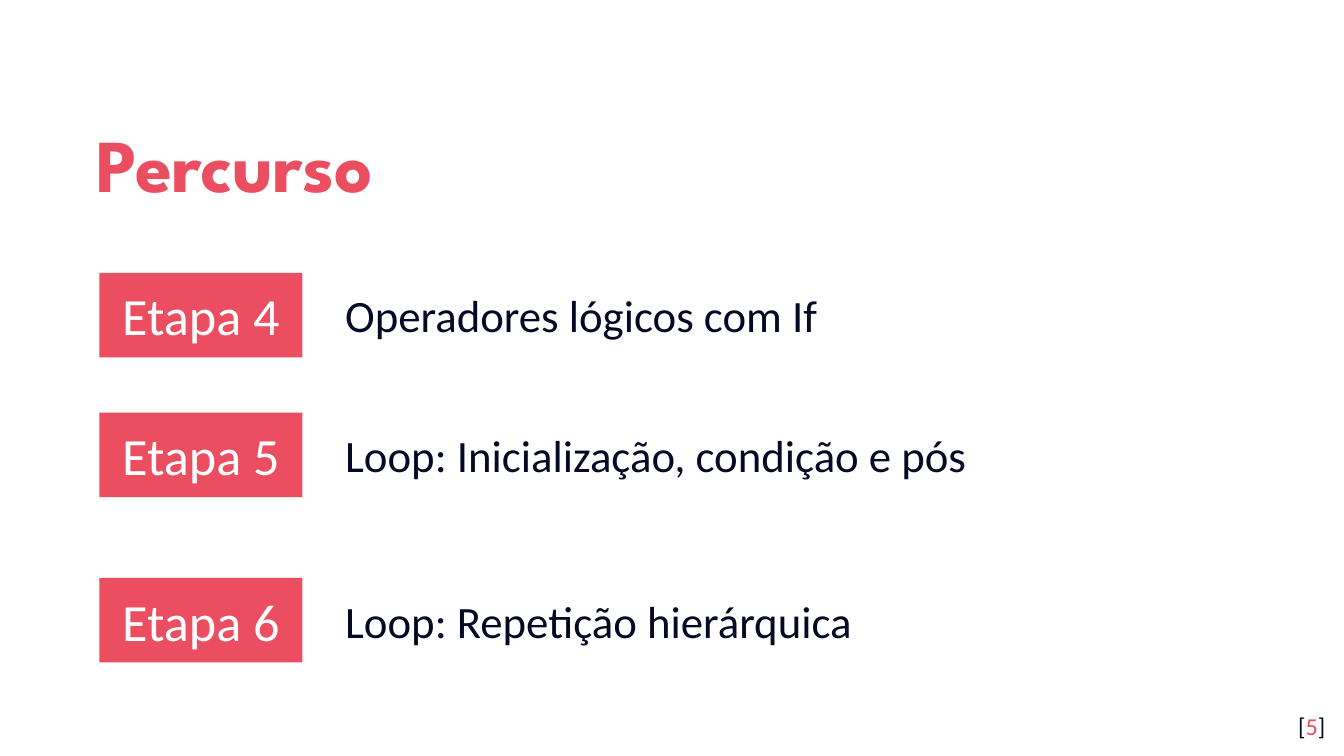
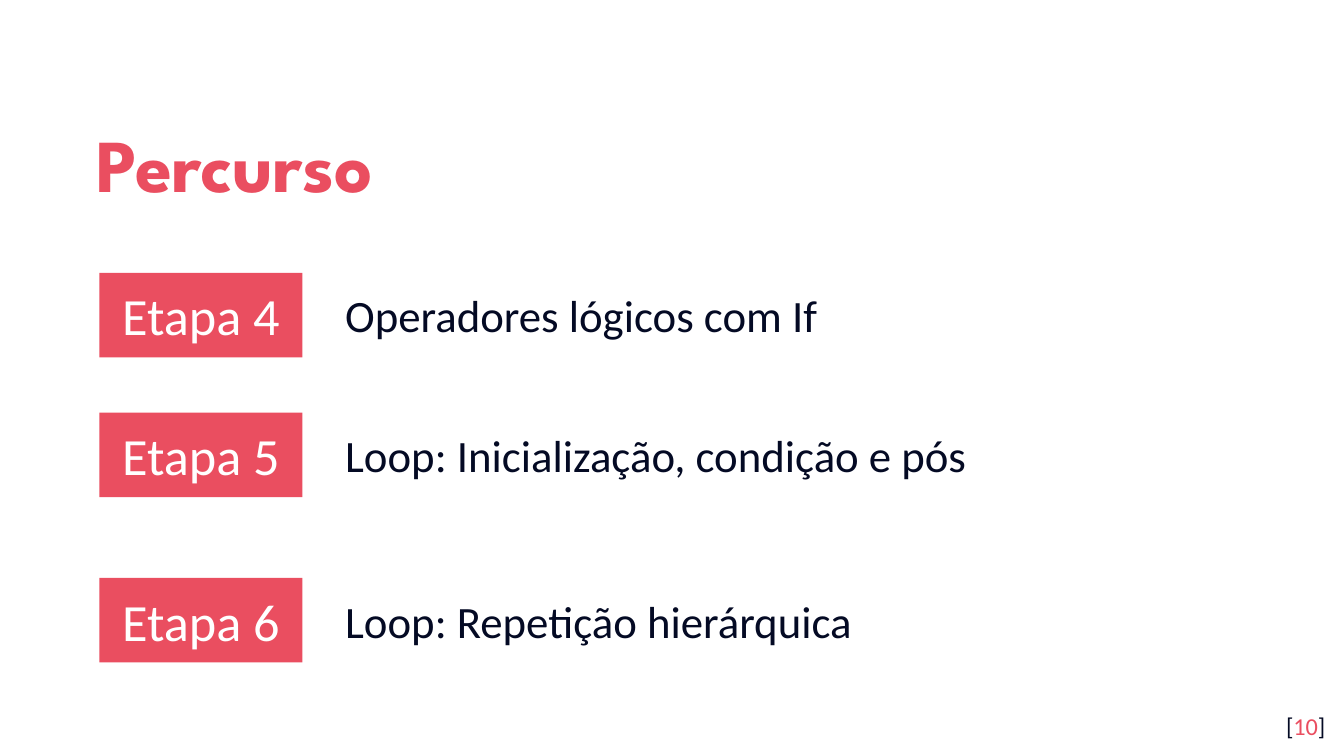
from pptx import Presentation
from pptx.dml.color import RGBColor
from pptx.enum import shapes, text
from pptx.util import Inches, Pt

CORAL, NAVY, WHITE = "EA4E60", "040A24", "FFFFFF"
BODY_FONT, TITLE_FONT = "Calibri", "League Spartan"

STAGES = [
    (2.03, "Etapa 4", "Operadores lógicos com If"),
    (3.07, "Etapa 5", "Loop: Inicialização, condição e pós"),
    (4.3, "Etapa 6", "Loop: Repetição hierárquica"),
]
PAGE_NUMBERS = [5, 10]


def rgb(color):
    return RGBColor.from_string(color)


def inches(*lengths):
    return [Inches(n) for n in lengths]


def add_run(p, content, size, color, font=BODY_FONT, bold=False):
    r = p.add_run()
    r.text = content
    r.font.name, r.font.size, r.font.bold = font, Pt(size), bold
    r.font.color.rgb = rgb(color)


def format_frame(sp, anchor, align, inset_y=0.1):
    """Set insets, wrapping and alignment, and return the first paragraph."""
    tf = sp.text_frame
    tf.word_wrap = True
    tf.auto_size = text.MSO_AUTO_SIZE.NONE
    tf.vertical_anchor = anchor
    tf.margin_left = tf.margin_right = Inches(0.1)
    tf.margin_top = tf.margin_bottom = Inches(inset_y)
    p = tf.paragraphs[0]
    p.alignment = align
    return p


def set_hanging_indent(p, length):
    pPr = p._p.get_or_add_pPr()
    pPr.set("marL", str(Inches(length)))
    pPr.set("indent", str(-Inches(length)))


def add_title(s, content, x, y, w, h):
    sp = s.shapes.title
    sp.left, sp.top, sp.width, sp.height = inches(x, y, w, h)
    p = format_frame(sp, text.MSO_ANCHOR.MIDDLE, text.PP_ALIGN.LEFT)
    p.line_spacing = 1.15
    add_run(p, content, 40, CORAL, TITLE_FONT, bold=True)


def add_stage(s, label, topic, x, y, w, h):
    """Draw a coral label and its topic, centred on the label's height."""
    label_w, gap, topic_h = 1.51, 0.22, 0.5
    sp = s.shapes.add_shape(shapes.MSO_SHAPE.RECTANGLE, *inches(x, y, label_w, h))
    sp.shadow.inherit = False
    sp.fill.solid()
    sp.fill.fore_color.rgb = rgb(CORAL)
    sp.line.fill.background()
    p = format_frame(sp, text.MSO_ANCHOR.MIDDLE, text.PP_ALIGN.CENTER)
    add_run(p, label, 28, WHITE)

    offset = label_w + gap
    sp = s.shapes.add_textbox(
        *inches(x + offset, y + (h - topic_h) / 2, w - offset, topic_h))
    p = format_frame(sp, text.MSO_ANCHOR.TOP, text.PP_ALIGN.LEFT, inset_y=0.05)
    set_hanging_indent(p, 0.5)
    add_run(p, topic, 24, NAVY)


def add_page_number(s, number, x, y, w, h):
    sp = s.shapes.add_textbox(*inches(x, y, w, h))
    p = format_frame(sp, text.MSO_ANCHOR.TOP, text.PP_ALIGN.RIGHT)
    for content, color in (("[", NAVY), (str(number), CORAL), ("]", NAVY)):
        add_run(p, content, 13, color)


def add_roadmap_slide(prs, number):
    s = prs.slides.add_slide(prs.slide_layouts.get_by_name("Title Only"))
    s.background.fill.solid()
    s.background.fill.fore_color.rgb = rgb(WHITE)
    add_title(s, "Percurso", 0.62, 0.7, 8.1, 0.92)
    for y, label, topic in STAGES:
        add_stage(s, label, topic, 0.74, y, 8.48, 0.63)
    add_page_number(s, number, 9.36, 5.19, 0.6, 0.43)


def main():
    prs = Presentation()
    prs.slide_width, prs.slide_height = inches(10, 10 * 9 / 16)
    for number in PAGE_NUMBERS:
        add_roadmap_slide(prs, number)
    prs.save("out.pptx")


if __name__ == "__main__":
    main()
